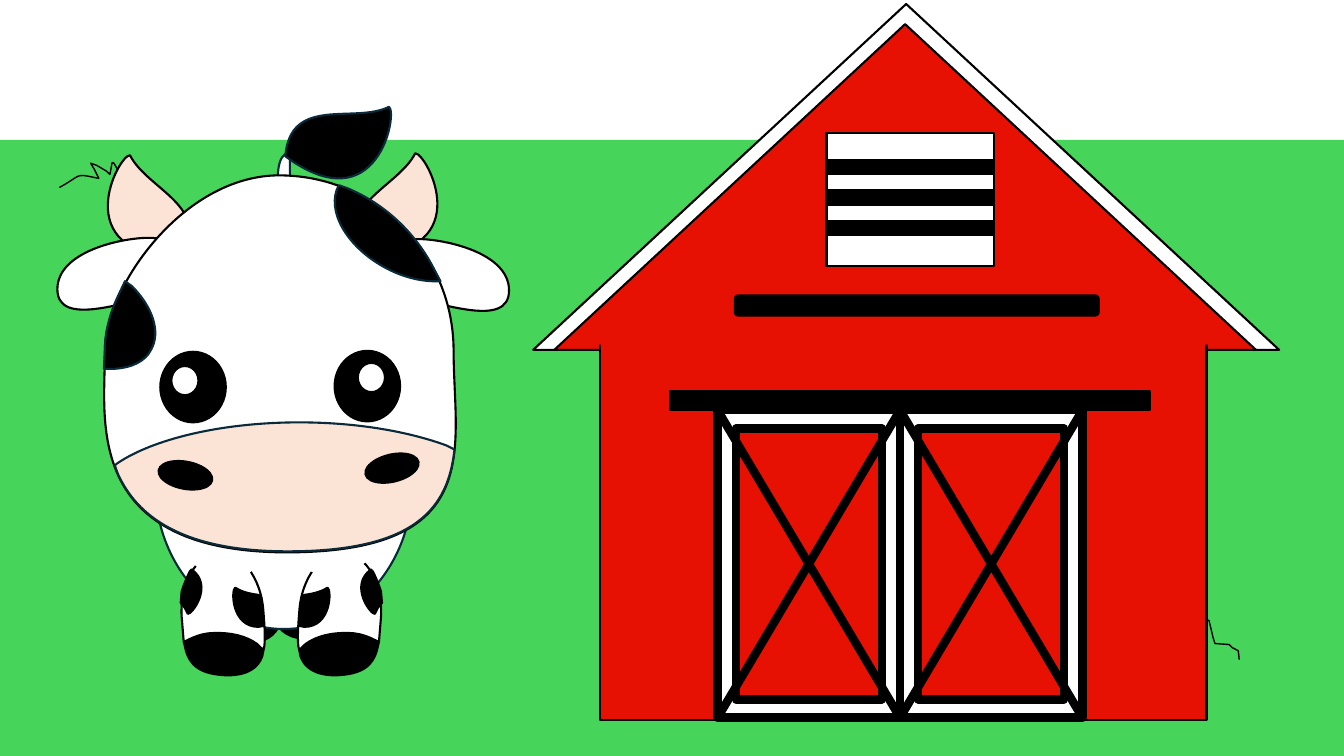
from lxml import etree
from pptx import Presentation
from pptx.dml.color import RGBColor
from pptx.enum.shapes import MSO_CONNECTOR as LINK, MSO_SHAPE as KIND
from pptx.oxml.ns import qn
from pptx.util import Pt

BLACK = RGBColor(0x00, 0x00, 0x00)
WHITE = RGBColor(0xFF, 0xFF, 0xFF)
GRASS = RGBColor(0x47, 0xD4, 0x5A)
RED = RGBColor(0xE6, 0x11, 0x02)
PINK = RGBColor(0xFB, 0xE3, 0xD6)
NAVY = RGBColor(0x09, 0x2A, 0x39)

# Outlines in points: a start, then lines (2 numbers) and cubic curves (6 numbers)
TWIG = [(42.5, 133.9), (58.3, 125.3, 53.3, 123.8, 67, 126.7), (70.6, 127.4), (67, 120.2),
        (64.8, 116.6), (69.1, 118.1), (76.3, 122.4), (78.5, 124.6),
        (80.6, 115.9, 79.2, 112.3, 83.5, 120.2), (85.7, 124.6), (89.3, 121),
        (92.9, 118.8, 93.6, 120.2, 97.2, 121), (98.6, 126.7), (100.1, 133.2),
        (101.5, 137.5), (111.6, 138.2), (113.8, 140.4), (118.1, 142.6), (118.8, 149)]
STEM = [(180, 182.2), (214.6, 177.1, 185.8, 111.6, 207.4, 108.7),
        (203.8, 162, 229, 180.7, 174.2, 189.4), (146.9, 189.4)]
TUFT = [(203.8, 111.6), (270, 160.6, 284.4, 80.6, 277.9, 76.3),
        (253.4, 88.6, 207.4, 67.7, 203.8, 111.6)]
HOOF = [(249.1, 452.2), (254.9, 452.2, 259.9, 453.6, 265, 455.8), (270.7, 458.6),
        (269.3, 464.4), (266.4, 475.2, 259.2, 481.7, 239.8, 482.4),
        (224.6, 482.4, 217.4, 476.6, 214.6, 468.7), (213.8, 464.4), (218.2, 460.1),
        (226.1, 454.3, 236.9, 451.8, 249.1, 452.2)]
SHIN = [(245.5, 395.3), (262.1, 396, 273.6, 416.9, 272.2, 440.6), (270.7, 458.6),
        (265, 455.8), (259.9, 453.6, 254.9, 452.2, 249.1, 452.2),
        (236.9, 451.8, 226.1, 454.3, 218.2, 460.1), (213.8, 464.4), (213.1, 461.5),
        (212.4, 454.3, 213.1, 445.7, 213.8, 437),
        (215.3, 412.6, 229.7, 393.8, 245.5, 395.3)]
OUTER = [(265, 406.8), (266.4, 408.2), (268.6, 412.6, 270.7, 417.6, 272.2, 422.6),
         (272.9, 430.6), (270, 434.2), (267.8, 438.5),
         (265, 439.2, 249.1, 418.3, 265, 406.8)]
INNER = [(234, 419.8), (236.9, 421.2, 236.9, 447.8, 217.4, 447.8), (213.8, 447.1),
         (215.3, 427), (216, 425.5), (218.2, 424.8),
         (223.9, 424.1, 229.7, 422.6, 234, 419.8)]
HORN = [(128.2, 184.3), (46.8, 181.4, 85, 110.2, 92.9, 110.9),
        (105.1, 135.4, 153.4, 148.3, 128.2, 184.3)]
EAR = [(41, 206.6), (41, 179.3, 87.8, 169.9, 105.8, 169.9),
       (123.8, 169.2, 148.3, 185, 148.3, 203.8), (148.3, 222.5, 127.4, 212.4, 109.4, 213.1),
       (91.4, 213.8, 41, 234.7, 41, 206.6)]
HEAD = [(74.9, 250.6), (74.9, 205.2, 131, 125.3, 199.4, 125.3),
        (268.6, 125.3, 324, 181.4, 324, 250.6), (324, 319.7, 348.5, 395.3, 202.3, 394.6),
        (56.2, 393.1, 75.6, 295.2, 74.9, 250.6)]
MUZZLE = [(213.8, 301.7), (254.9, 301.7, 291.6, 308.2, 319, 318.2), (324.7, 321.1),
          (324, 326.2), (318.2, 365, 293.8, 394.6, 202.3, 393.8),
          (129.6, 393.1, 97.9, 368.6, 84.2, 338.4), (82.1, 332.6), (83.5, 331.2),
          (108.7, 313.9, 157.7, 301.7, 213.8, 301.7)]
BROW = [(242.6, 132.5), (248.4, 134.6), (274.3, 145.4, 295.9, 165.6, 308.9, 190.1),
        (314.6, 200.9), (313.9, 200.9), (301.7, 201.6, 287.3, 198, 274.3, 190.8),
        (247, 175.7, 232.6, 149.8, 241.9, 132.5)]
CHEEK = [(89.3, 200.9), (94.3, 204.5), (108.7, 218.9, 115.2, 236.9, 108, 249.8),
         (103.7, 258.5, 93.6, 262.8, 81.4, 263.5), (74.2, 263.5), (74.9, 249.8),
         (74.9, 238.3, 77.8, 225.4, 84.2, 211.7)]


def paint(shape, fill, line, width=1.5):
    shape.shadow.inherit = False
    for part, color in ((shape.fill, fill), (shape.line.fill, line)):
        if color is None:
            part.background()
        else:
            part.solid()
            part.fore_color.rgb = color
    if line is not None:
        shape.line.width = Pt(width)


def preset(shapes, kind, box, fill, line=BLACK, turn=0, width=1.5):
    shape = shapes.add_shape(kind, *map(Pt, box))
    shape.rotation = turn
    paint(shape, fill, line, width)
    return shape


def trace(parts, steps=12):
    """Follow lines and curves, to find the true bounds."""
    dots = list(parts[0])
    for part in parts[1:]:
        a, b, c, d = [dots[-1], *part] if len(part) == 3 else [dots[-1]] * 2 + [part[0]] * 2
        for t in (i / steps for i in range(1, steps + 1)):
            mix = ((1 - t) ** 3, 3 * t * (1 - t) ** 2, 3 * t * t * (1 - t), t ** 3)
            dots.append(tuple(sum(m * v for m, v in zip(mix, axis))
                              for axis in zip(a, b, c, d)))
    return dots


def outline(shapes, points, fill, line=BLACK, width=1.5, move=(0, 0), flip=False, close=True):
    sign = -1 if flip else 1
    parts = [[(Pt(move[0] + sign * x), Pt(move[1] + y)) for x, y in zip(p[::2], p[1::2])]
             for p in points]
    dots = trace(parts)
    pen = shapes.build_freeform(*dots[0], scale=1.0)
    pen.add_line_segments(dots[1:], close=close)
    shape = pen.convert_to_shape()
    # Write true curves inside these bounds
    track = next(shape._element.iter(qn("a:path")))
    for old in list(track):
        track.remove(old)
    for i, part in enumerate(parts):
        tag = "a:moveTo" if i == 0 else "a:cubicBezTo" if len(part) == 3 else "a:lnTo"
        step = etree.SubElement(track, qn(tag))
        for x, y in part:
            etree.SubElement(step, qn("a:pt"), x=str(x - shape.left), y=str(y - shape.top))
    if close:
        etree.SubElement(track, qn("a:close"))
    paint(shape, fill, line, width)


def brace(shapes, *ends):
    bar = shapes.add_connector(LINK.STRAIGHT, *map(Pt, ends))
    bar.line.color.rgb = BLACK
    bar.line.width = Pt(6)
    etree.SubElement(bar._element.spPr, qn("a:effectLst"))


def leg(shapes, move, flip, *spots):
    for points in (HOOF, SHIN, *spots):
        outline(shapes, points, WHITE if points is SHIN else BLACK, move=move, flip=flip)


def door(shapes, x, y, w, h):
    frame = preset(shapes, KIND.FRAME, (x, y, w, h), WHITE, width=6)
    frame.adjustments[0] = 0.1
    brace(shapes, x + w, y, x, y + h)
    brace(shapes, x, y, x + w, y + h)


def cow(shapes):
    outline(shapes, STEM, WHITE, NAVY)
    outline(shapes, TUFT, BLACK, NAVY)
    # Legs and belly
    leg(shapes, (414.4, -23), True)
    leg(shapes, (-18, -25.9), False)
    preset(shapes, KIND.OVAL, (110.9, 243.4, 183.6, 205.9), WHITE, NAVY)
    leg(shapes, (0, 0), False, OUTER, INNER)
    leg(shapes, (402, 0), True, OUTER, INNER)
    for x, y, turn in ((133.9, 384.5, 12.8), (216.7, 383, 347.2)):
        preset(shapes, KIND.OVAL, (x, y, 49, 27.4), WHITE, None, turn)
    # Horns, ears and head
    for points, fill, move in ((HORN, PINK, (389.5, -1.4)), (EAR, WHITE, (404.6, 0.9))):
        outline(shapes, points, fill, move=move, flip=True)
        outline(shapes, points, fill)
    outline(shapes, HEAD, WHITE)
    outline(shapes, MUZZLE, PINK, NAVY)
    # Eyes, glints and nostrils
    for x, y, w, h, fill, turn in (
            (239, 250.6, 46.8, 50.4, BLACK, 0), (114.5, 251.3, 46.8, 50.4, BLACK, 0),
            (122.4, 261.4, 19.4, 20.9, WHITE, 0), (255.6, 259.2, 19.4, 20.9, WHITE, 0),
            (113, 329.8, 38.9, 19.4, BLACK, 10.8), (260.6, 324.7, 38.9, 19.4, BLACK, 346.5)):
        preset(shapes, KIND.OVAL, (x, y, w, h), fill, turn=turn)
    for patch in (BROW, CHEEK):
        outline(shapes, patch, BLACK, NAVY)


def barn(shapes):
    # Roof, wall and rail
    preset(shapes, KIND.ISOSCELES_TRIANGLE, (380.9, 2.9, 532.8, 247), WHITE)
    preset(shapes, KIND.ISOSCELES_TRIANGLE, (396, 17.3, 501.1, 232.6), RED)
    preset(shapes, KIND.RECTANGLE, (428.4, 240.5, 433.4, 273.6), RED)
    preset(shapes, KIND.RECTANGLE, (478.8, 279.4, 342.7, 13.7), BLACK)
    for i in range(2):
        door(shapes, 512.6 + 130.3 * i, 293, 130.3, 219.6)
    # Beam and window slats
    preset(shapes, KIND.ROUNDED_RECTANGLE, (524.9, 211, 259.9, 14.4), BLACK)
    preset(shapes, KIND.RECTANGLE, (590.4, 95, 119.5, 95), WHITE)
    for i in range(3):
        preset(shapes, KIND.RECTANGLE, (590.4, 114.5 + 21.6 * i, 119.5, 10.1), BLACK)
    # Seam between roof and wall
    preset(shapes, KIND.ROUNDED_RECTANGLE, (424.8, 231.8, 441.4, 14.4), RED, None)


def main():
    deck = Presentation()
    deck.slide_width, deck.slide_height = Pt(960), Pt(540)
    shapes = deck.slides.add_slide(deck.slide_layouts[6]).shapes
    preset(shapes, KIND.RECTANGLE, (0, 100, 960, 440), GRASS, None)
    for move in ((766.4, 322.2), (0, 0)):
        outline(shapes, TWIG, None, width=1, move=move, close=False)
    cow(shapes.add_group_shape().shapes)
    barn(shapes.add_group_shape().shapes)
    deck.save("out.pptx")


if __name__ == "__main__":
    main()
